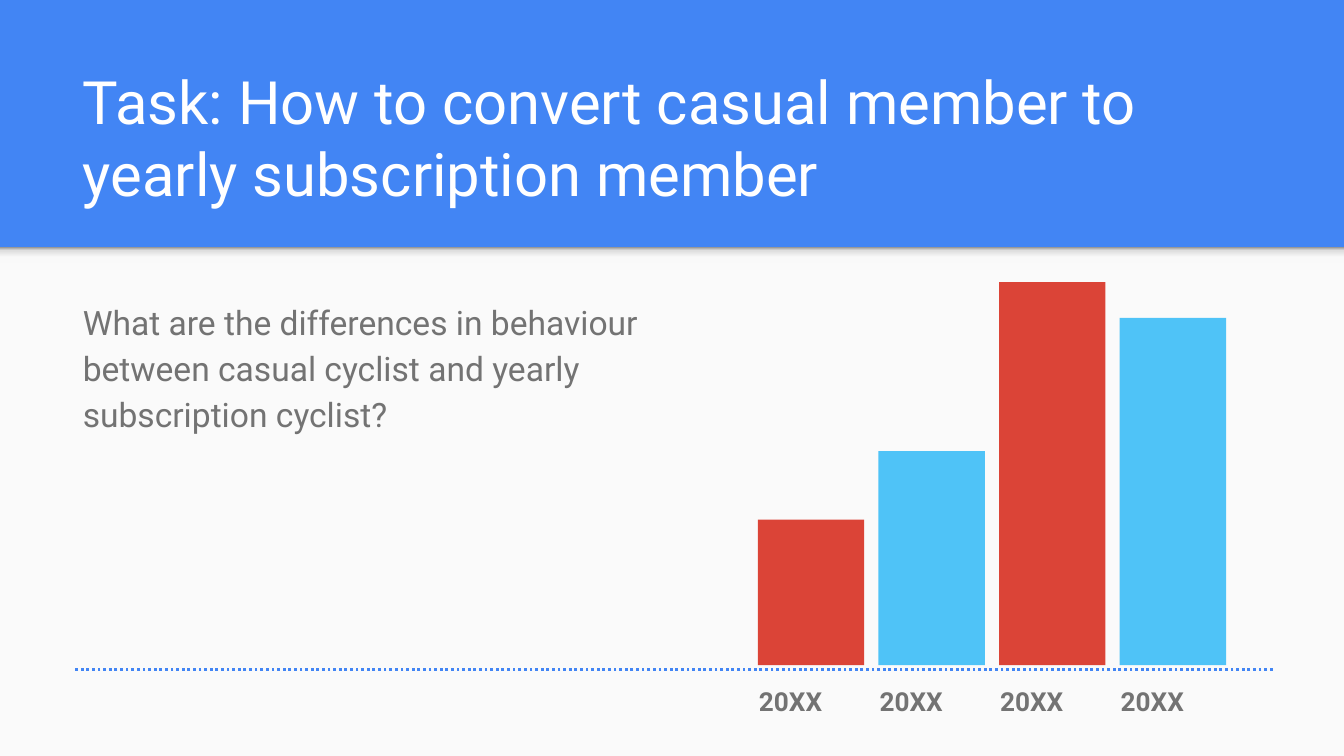
from lxml.etree import SubElement
from pptx import Presentation
from pptx.dml.color import RGBColor
from pptx.enum.dml import MSO_LINE_DASH_STYLE as Dash
from pptx.enum.shapes import MSO_CONNECTOR as Connector, MSO_SHAPE as Shape
from pptx.enum.text import MSO_ANCHOR as Anchor
from pptx.oxml.ns import qn
from pptx.util import Pt

BLUE = RGBColor(0x42, 0x85, 0xF4)
SKY = RGBColor(0x4F, 0xC3, 0xF7)
RED = RGBColor(0xDB, 0x44, 0x37)
PAPER = RGBColor(0xFA, 0xFA, 0xFA)
GREY = RGBColor(0x73, 0x73, 0x73)
WHITE = RGBColor(0xFF, 0xFF, 0xFF)
SHADE_STOPS = [(0, "F9F9F9"), (36, "F9F9F9"), (80, "DEDEDE"), (100, "999999")]
NO_GRID_STYLE = "{2D5ABB26-0587-4C30-8999-92F81FD0307C}"


class Deck:
    font = "Roboto"
    inset = Pt(7.2)

    def __init__(self, width, height, background):
        self.file = Presentation()
        self.file.slide_width, self.file.slide_height = Pt(width), Pt(height)
        self.slide = self.file.slides.add_slide(self.file.slide_layouts[6])
        self.slide.background.fill.solid()
        self.slide.background.fill.fore_color.rgb = background
        self.shapes = self.slide.shapes

    def rectangle(self, left, top, width, height, color):
        box = self.shapes.add_shape(Shape.RECTANGLE, Pt(left), Pt(top), Pt(width), Pt(height))
        box.shadow.inherit = False
        box.line.fill.background()
        box.fill.solid()
        box.fill.fore_color.rgb = color
        return box

    def shade(self, left, top, width, height, stops):
        strip = self.rectangle(left, top, width, height, WHITE)
        strip.fill.gradient()
        strip.fill.gradient_angle = 90
        stop_list = strip._element.spPr.find(qn("a:gradFill")).find(qn("a:gsLst"))
        for stop in list(stop_list):
            stop_list.remove(stop)
        for position, color in stops:
            stop = SubElement(stop_list, qn("a:gs"), pos=str(position * 1000))
            SubElement(stop, qn("a:srgbClr"), val=color)

    def set_words(self, frame, words, size, color, spacing=None, after=None, bold=False):
        paragraph = frame.paragraphs[0]
        paragraph.text = words
        paragraph.line_spacing = spacing
        paragraph.space_after = after
        font = paragraph.font
        font.name, font.size, font.bold = self.font, Pt(size), bold
        font.color.rgb = color

    def text(self, left, top, width, height, words, size, color, anchor=Anchor.TOP, **style):
        frame = self.shapes.add_textbox(Pt(left), Pt(top), Pt(width), Pt(height)).text_frame
        frame.word_wrap = True
        frame.vertical_anchor = anchor
        frame.margin_left = frame.margin_right = self.inset
        frame.margin_top = frame.margin_bottom = self.inset
        self.set_words(frame, words, size, color, **style)

    def label_row(self, left, top, column_width, height, labels, size, color):
        frame = self.shapes.add_table(
            1, len(labels), Pt(left), Pt(top), Pt(column_width * len(labels)), Pt(height))
        table = frame.table
        table.first_row = table.horz_banding = False
        table._tbl.tblPr.find(qn("a:tableStyleId")).text = NO_GRID_STYLE
        table.rows[0].height = Pt(height)
        for column, cell, label in zip(table.columns, table.rows[0].cells, labels):
            column.width = Pt(column_width)
            cell.fill.background()
            cell.margin_left = cell.margin_right = self.inset
            cell.margin_top = cell.margin_bottom = self.inset
            self.set_words(cell.text_frame, label, size, color, spacing=1.15, bold=True)

    def dotted_line(self, start, end, y, color):
        line = self.shapes.add_connector(Connector.STRAIGHT, Pt(start), Pt(y), Pt(end), Pt(y))
        line.line.color.rgb = color
        line.line.width = Pt(1.5)
        line.line.dash_style = Dash.ROUND_DOT
        SubElement(line._element.spPr, qn("a:effectLst"))


def main():
    deck = Deck(720, 405, BLUE)
    header_bottom = 132.5
    deck.rectangle(0, header_bottom, 720, 405 - header_bottom, PAPER)
    deck.shade(0, header_bottom, 720, 8.6, SHADE_STOPS)
    deck.text(37.3, 58.3, 647.3, 60.5,
              "Task: How to convert casual member to yearly subscription member",
              32, WHITE, Anchor.BOTTOM)
    deck.text(37.3, 151.2, 314.6, 213.1,
              "What are the differences in behaviour between casual cyclist "
              "and yearly subscription cyclist?",
              18, GREY, spacing=1.15, after=Pt(16))

    pitch = 64.6
    baseline = 356.4
    bar_heights = [78, 114.7, 205.3, 186]
    deck.label_row(399.4, 358.6, pitch, 18.7, ["20XX"] * len(bar_heights), 14, GREY)
    for index, height in enumerate(bar_heights):
        color = SKY if index % 2 else RED
        deck.rectangle(406 + index * pitch, baseline - height, 57, height, color)
    deck.dotted_line(681.8, 40.3, 358.6, BLUE)

    deck.file.save("out.pptx")


if __name__ == "__main__":
    main()
